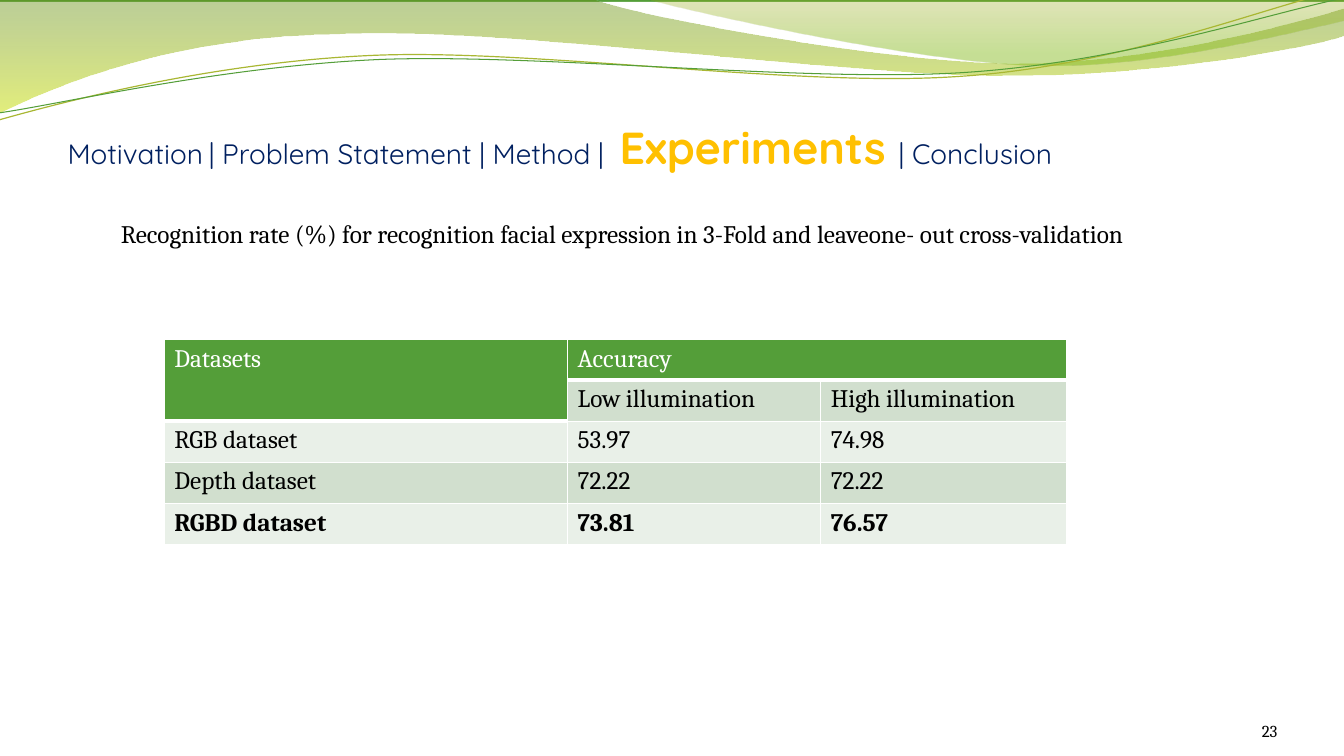
from math import cos, radians, sin

from lxml import etree
from pptx import Presentation
from pptx.dml.color import RGBColor
from pptx.enum.shapes import MSO_SHAPE
from pptx.enum.text import MSO_ANCHOR, PP_ALIGN
from pptx.oxml.ns import qn
from pptx.util import Inches, Pt

RECTANGLE = MSO_SHAPE.RECTANGLE
TOP, BOTTOM = MSO_ANCHOR.TOP, MSO_ANCHOR.BOTTOM
LEFT, RIGHT = PP_ALIGN.LEFT, PP_ALIGN.RIGHT

GREEN = RGBColor(0x54, 0x9E, 0x39)
WHITE = RGBColor(0xFF, 0xFF, 0xFF)
BLACK = RGBColor(0, 0, 0)
NAVY = RGBColor(0x00, 0x20, 0x60)
GOLD = RGBColor(0xFF, 0xC0, 0x00)
OLIVE = RGBColor(0xA9, 0xB7, 0x33)
MOSS = RGBColor(0x69, 0x92, 0x1C)
LIME = RGBColor(0xCC, 0xE1, 0x0F)
KHAKI = RGBColor(0x9B, 0xAA, 0x1A)
LEAF = RGBColor(0x81, 0xBA, 0x16)
BAND_DARK = RGBColor(0xD1, 0xDF, 0xCE)
BAND_LIGHT = RGBColor(0xE9, 0xF0, 0xE8)

BODY_FONT, TITLE_FONT = "Cambria", "Quicksand"

# Outlines: a pair is a corner, six numbers are a Bezier curve (two controls, end)
LARGE_WAVE = [
    (0, 0), (5.87, -0.01),
    (6.34, 0.17, 8.84, 0.63, 10.11, 0.63), (11.37, 0.63, 12.77, 0.26, 13.33, 0.09),
    (13.34, 0.36),
    (13.11, 0.44, 11.59, 0.76, 9.94, 0.75), (8.29, 0.75, 5.09, 0.28, 3.43, 0.34),
    (1.72, 0.36, 0.61, 0.83, -0.02, 1.13), (0, 0),
]
SMALL_WAVE = [
    (6.38, -0.01),
    (6.79, 0.11, 9.09, 0.62, 10.25, 0.65), (11.4, 0.69, 12.82, 0.32, 13.33, 0.21),
    (13.33, 0), (6.38, -0.01),
]
OLIVE_STRAND = [
    (-0.01, 1.19),
    (0.63, 1.01, 2.1, 0.62, 3.69, 0.55), (5.27, 0.48, 7.89, 0.87, 9.49, 0.76),
    (11.1, 0.66, 12.51, 0.08, 13.3, -0.1),
]
GREEN_STRAND = [
    (-0.01, 1.12),
    (0.62, 1.03, 2.18, 0.66, 3.77, 0.59), (5.37, 0.53, 7.96, 0.82, 9.55, 0.72),
    (11.14, 0.62, 12.55, 0.14, 13.33, -0.02),
]
STRAND_TILT = 2.7
STRAND_CENTER = (6.65, 0.58)

COLUMN_WIDTHS = [4, 2.51, 2.44]
TABLE_HEIGHT, HEADER_HEIGHT = 2.03, 0.4
RESULTS = [
    ["Datasets", "Accuracy", ""],
    ["", "Low illumination", "High illumination"],
    ["RGB dataset", "53.97", "74.98"],
    ["Depth dataset", "72.22", "72.22"],
    ["RGBD dataset", "73.81", "76.57"],
]


def pairs(segment):
    return list(zip(segment[::2], segment[1::2]))


def add_outline(slide, outline, closed):
    """Build the corners, then bend the segments that have control points."""
    corners = [(Inches(x), Inches(y)) for x, y in (pairs(s)[-1] for s in outline)]
    builder = slide.shapes.build_freeform(*corners[0])
    builder.add_line_segments(corners[1:], close=closed)
    shape = builder.convert_to_shape()
    shape.shadow.inherit = False
    lines = list(shape.element.spPr.iter(qn("a:lnTo")))
    for line, segment in zip(lines, outline[1:]):
        if len(segment) == 2:
            continue
        curve = etree.Element(qn("a:cubicBezTo"))
        for x, y in pairs(segment):
            etree.SubElement(curve, qn("a:pt"), x=str(Inches(x) - shape.left),
                             y=str(Inches(y) - shape.top))
        line.getparent().replace(line, curve)
    return shape


def add_wave(slide, outline, stops):
    """Filled wave; each stop is position, colour and opacity in percent."""
    wave = add_outline(slide, outline, closed=True)
    wave.line.fill.background()
    wave.fill.gradient()
    wave.fill.gradient_angle = 270
    for stop, (position, color, _) in zip(wave.fill.gradient_stops, stops):
        stop.position = position
        stop.color.rgb = color
    colors = wave.element.spPr.iter(qn("a:srgbClr"))
    for color, (_, _, opacity) in zip(colors, stops):
        etree.SubElement(color, qn("a:alpha"), val=str(opacity * 1000))


def level(segment):
    """Turn a segment's points back to where they lie before the tilt."""
    angle = radians(STRAND_TILT)
    center_x, center_y = STRAND_CENTER
    turned = []
    for x, y in pairs(segment):
        dx, dy = x - center_x, y - center_y
        turned += [center_x + dx * cos(angle) - dy * sin(angle),
                   center_y + dx * sin(angle) + dy * cos(angle)]
    return turned


def add_strand(slide, outline, color, width):
    strand = add_outline(slide, [level(segment) for segment in outline], closed=False)
    strand.rotation = -STRAND_TILT
    strand.fill.background()
    strand.line.color.rgb = color
    strand.line.width = Pt(width)


def write(paragraph, text, size=18, font=BODY_FONT, color=BLACK, bold=False, align=LEFT):
    paragraph.alignment = align
    run = paragraph.add_run()
    run.text = text
    run.font.size = Pt(size)
    run.font.name = font
    run.font.bold = bold
    run.font.color.rgb = color


def add_box(slide, left, top, width, height, anchor=TOP, insets=(0.1, 0.05, 0.1, 0.05)):
    """Add a text box and return its first paragraph."""
    box = slide.shapes.add_textbox(Inches(left), Inches(top), Inches(width), Inches(height))
    frame = box.text_frame
    frame.word_wrap = True
    frame.vertical_anchor = anchor
    (frame.margin_left, frame.margin_top,
     frame.margin_right, frame.margin_bottom) = map(Inches, insets)
    return frame.paragraphs[0]


def set_header_borders(cell):
    properties = cell._tc.get_or_add_tcPr()
    for index, (side, width) in enumerate((("lnL", 1), ("lnR", 1), ("lnT", 1), ("lnB", 3))):
        line = etree.Element(qn(f"a:{side}"), w=str(Pt(width)))
        fill = etree.SubElement(line, qn("a:solidFill"))
        etree.SubElement(fill, qn("a:srgbClr"), val=str(WHITE))
        properties.insert(index, line)


def add_results_table(slide, left, top):
    rows, columns = len(RESULTS), len(COLUMN_WIDTHS)
    table = slide.shapes.add_table(
        rows, columns, Inches(left), Inches(top),
        Inches(sum(COLUMN_WIDTHS)), Inches(TABLE_HEIGHT)).table
    for column, width in zip(table.columns, COLUMN_WIDTHS):
        column.width = Inches(width)
    table.cell(0, 0).merge(table.cell(1, 0))
    table.cell(0, 1).merge(table.cell(0, 2))
    row_height = (TABLE_HEIGHT - HEADER_HEIGHT) / (rows - 1)
    for r, row in enumerate(RESULTS):
        table.rows[r].height = Inches(row_height if r else HEADER_HEIGHT)
        for c, text in enumerate(row):
            cell = table.cell(r, c)
            header = r == 0 or (r == 1 and c == 0)
            cell.fill.solid()
            cell.fill.fore_color.rgb = GREEN if header else (BAND_LIGHT, BAND_DARK)[r % 2]
            if header:
                set_header_borders(cell)
            if text:
                write(cell.text_frame.paragraphs[0], text,
                      color=WHITE if header else BLACK, bold=r == rows - 1)


def add_backdrop(slide):
    slide.background.fill.solid()
    slide.background.fill.fore_color.rgb = GREEN
    page = slide.shapes.add_shape(RECTANGLE, 0, Inches(0.02), Inches(13.33), Inches(7.5))
    page.shadow.inherit = False
    page.fill.solid()
    page.fill.fore_color.rgb = WHITE
    page.line.fill.background()
    add_wave(slide, LARGE_WAVE, [(0, MOSS, 45), (1, LIME, 55)])
    add_wave(slide, SMALL_WAVE, [(0, KHAKI, 30), (0.8, LEAF, 45)])
    add_strand(slide, OLIVE_STRAND, OLIVE, 0.85)
    add_strand(slide, GREEN_STRAND, GREEN, 0.75)


def main():
    deck = Presentation()
    deck.slide_width, deck.slide_height = Inches(13.33), Inches(7.5)
    slide = deck.slides.add_slide(deck.slide_layouts[6])
    add_backdrop(slide)
    # Section trail with the current section highlighted
    trail = add_box(slide, 0.67, 0.87, 12, 1.25, BOTTOM, (0, 0.05, 0, 0.4))
    for text, size, color in (("Motivation", 20, NAVY), ("|", 20, WHITE),
                              ("| Problem Statement | Method |  ", 20, NAVY),
                              ("Experiments ", 32, GOLD), ("| Conclusion", 20, NAVY)):
        write(trail, text, size, TITLE_FONT, color, bold=color == GOLD)
    # Results
    add_results_table(slide, 1.63, 3.37)
    caption = add_box(slide, 1.1, 2.12, 10.77, 0.71)
    write(caption, "Recognition rate (%) for recognition facial expression in 3-Fold "
                   "and leaveone- out cross-validation")
    # Page number
    page_number = add_box(slide, 11.56, 6.95, 1.11, 0.4, BOTTOM, (0, 0, 0, 0))
    write(page_number, "23", 12, align=RIGHT)
    deck.save("out.pptx")


if __name__ == "__main__":
    main()
